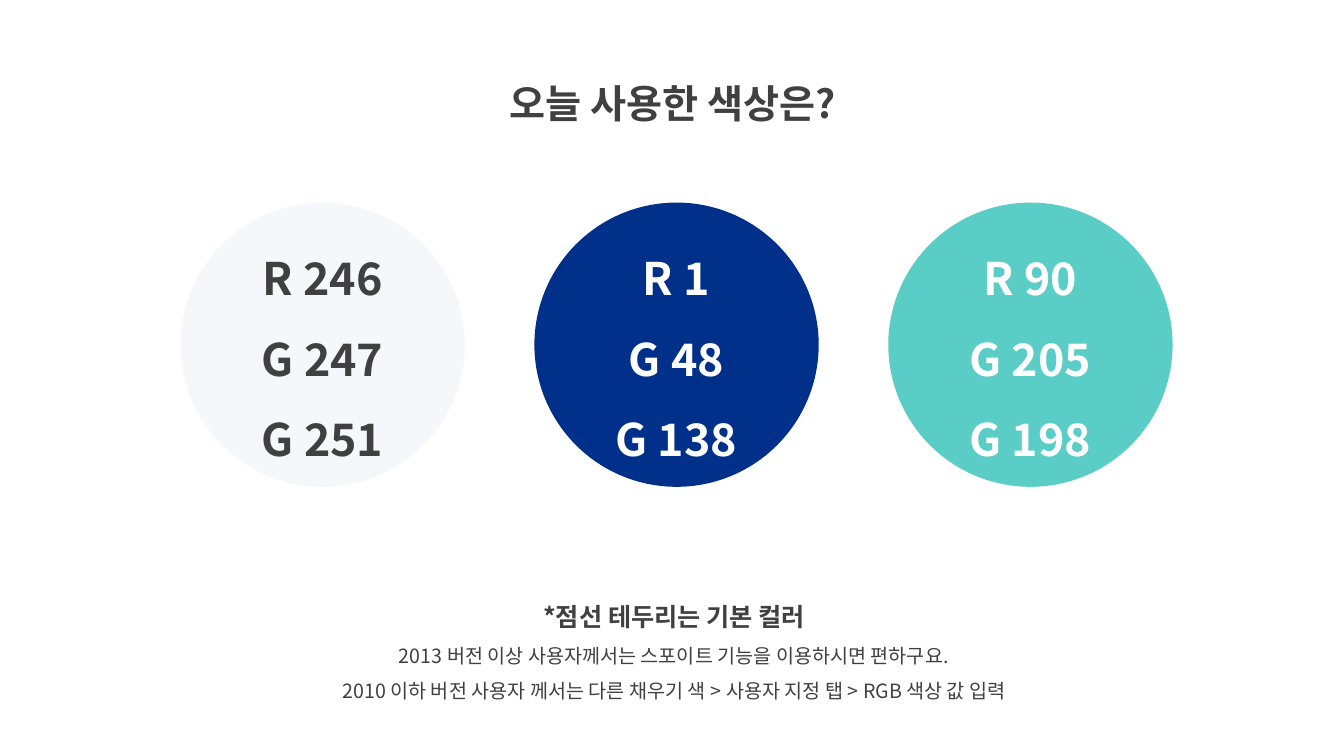
from lxml.etree import SubElement
from pptx import Presentation
from pptx.dml.color import RGBColor
from pptx.enum.shapes import MSO_SHAPE
from pptx.enum.text import MSO_ANCHOR, MSO_AUTO_SIZE, PP_ALIGN
from pptx.oxml.ns import qn
from pptx.util import Pt

PX = 9144  # 100 px to the inch
FONT = "Noto Sans CJK KR"
DARK, WHITE = "404040", "FFFFFF"


def rgb(color):
    return RGBColor.from_string(color)


def write(frame, lines, sizes, color=DARK, bold=(True,), anchor=MSO_ANCHOR.TOP):
    """Fill a frame with centred lines; the last size and weight carry on."""
    frame.word_wrap = True
    frame.auto_size = MSO_AUTO_SIZE.NONE
    frame.vertical_anchor = anchor
    for i, line in enumerate(lines):
        paragraph = frame.add_paragraph() if i else frame.paragraphs[0]
        paragraph.alignment = PP_ALIGN.CENTER
        paragraph.line_spacing = 1.5
        run = paragraph.add_run()
        run.text = line
        font = run.font
        font.size = Pt(sizes[min(i, len(sizes) - 1)])
        font.bold = bold[min(i, len(bold) - 1)]
        font.color.rgb = rgb(color)
        font.name = FONT
        SubElement(run._r.get_or_add_rPr(), qn("a:ea"), typeface=FONT)


prs = Presentation()
prs.slide_width, prs.slide_height = 1333 * PX, 750 * PX
slide = prs.slides.add_slide(prs.slide_layouts[5])

title = slide.shapes.title
title.left, title.top, title.width, title.height = 436 * PX, 50 * PX, 463 * PX, 72 * PX
write(title.text_frame, ["오늘 사용한 색상은?"], [28])

guide = slide.shapes.add_textbox(269 * PX, 577 * PX, 799 * PX, 126 * PX)
write(guide.text_frame, [
    "*점선 테두리는 기본 컬러",
    "2013 버전 이상 사용자께서는 스포이트 기능을 이용하시면 편하구요.",
    "2010 이하 버전 사용자 께서는 다른 채우기 색 > 사용자 지정 탭 > RGB 색상 값 입력",
], [18, 14], bold=(True, False))

DIAMETER, FIRST_LEFT, PITCH = 282, 179, 351
swatches = [
    ("F6F7FB", DARK, ["R 246", "G 247", "G 251"]),
    ("01308A", WHITE, ["R 1", "G 48", "G 138"]),
    ("5ACDC6", WHITE, ["R 90", "G 205", "G 198"]),
]
for i, (fill, ink, channels) in enumerate(swatches):
    swatch = slide.shapes.add_shape(
        MSO_SHAPE.OVAL, (FIRST_LEFT + i * PITCH) * PX, 201 * PX, DIAMETER * PX, DIAMETER * PX)
    swatch.shadow.inherit = False
    swatch.fill.solid()
    swatch.fill.fore_color.rgb = rgb(fill)
    swatch.line.fill.background()
    write(swatch.text_frame, channels, [32], color=ink, anchor=MSO_ANCHOR.MIDDLE)

prs.save("out.pptx")
